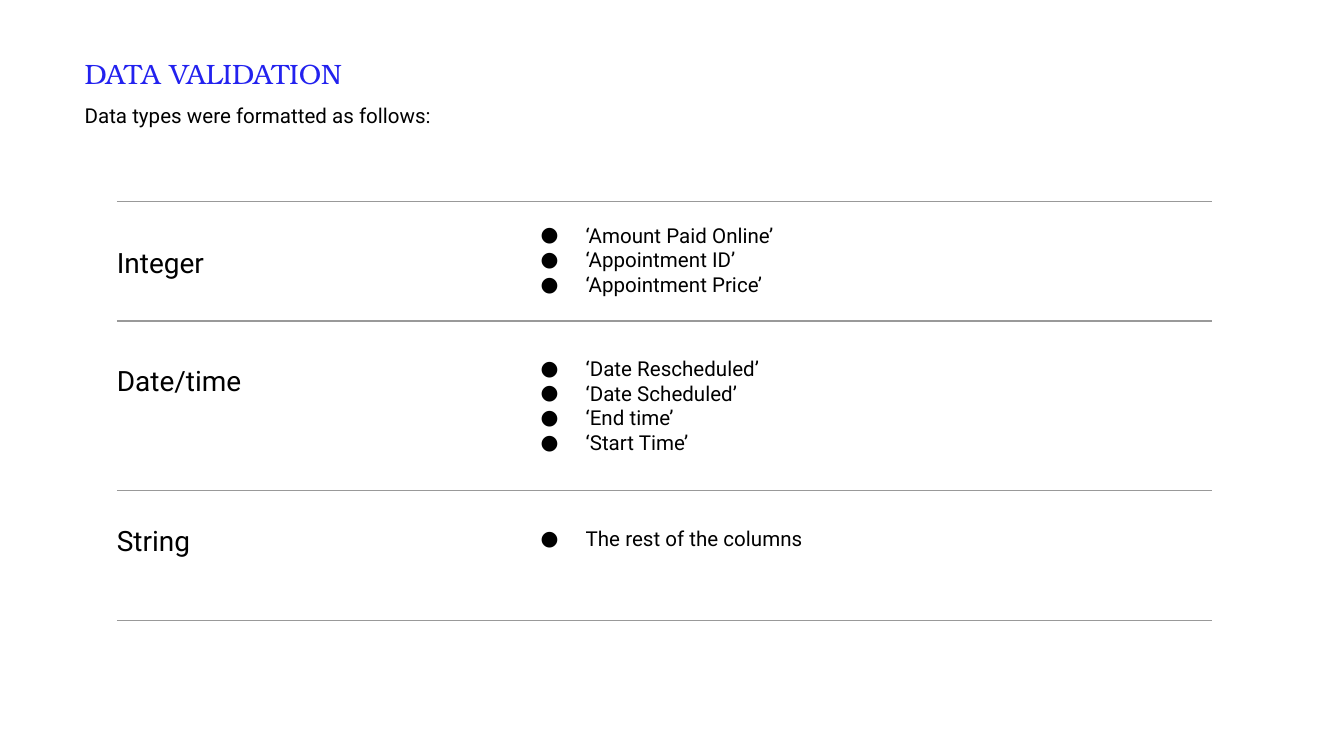
"""Build the data validation slide with its three ruled rows of data types."""
from lxml.etree import SubElement
from pptx import Presentation
from pptx.dml.color import RGBColor
from pptx.enum.shapes import MSO_CONNECTOR as Connector
from pptx.enum.text import MSO_ANCHOR as Anchor, MSO_AUTO_SIZE as AutoSize
from pptx.oxml.ns import qn
from pptx.util import Cm, Pt

BLACK = RGBColor(0x00, 0x00, 0x00)
BLUE = RGBColor(0x23, 0x22, 0xEF)
GREY = RGBColor(0x99, 0x99, 0x99)

HEADING = {"name": "TeX Gyre Bonum", "size": Pt(15)}
LABEL = {"name": "Roboto", "size": Pt(15)}
BODY = {"name": "Roboto", "size": Pt(11)}
FRAME = {
    "word_wrap": True,
    "auto_size": AutoSize.NONE,
    "vertical_anchor": Anchor.TOP,
    "margin_left": Cm(0.25),
    "margin_right": Cm(0.25),
    "margin_top": Cm(0.25),
    "margin_bottom": Cm(0.25),
}


def add_bullet(para):
    props = para._p.get_or_add_pPr()
    props.set("marL", str(Cm(1.27)))
    props.set("indent", str(-Cm(0.85)))
    color = SubElement(props, qn("a:buClr"))
    SubElement(color, qn("a:srgbClr"), val=str(BLACK))
    SubElement(props, qn("a:buFont"), typeface="Roboto")
    SubElement(props, qn("a:buChar"), char="●")


def add_text(page, place, lines, style, color=BLACK, bulleted=False):
    box = page.shapes.add_textbox(*(Cm(length) for length in place))
    frame = box.text_frame
    for name, value in FRAME.items():
        setattr(frame, name, value)
    for index, line in enumerate(lines):
        para = frame.paragraphs[0] if index == 0 else frame.add_paragraph()
        if bulleted:
            add_bullet(para)
        span = para.add_run()
        span.text = line
        for name, value in style.items():
            setattr(span.font, name, value)
        span.font.color.rgb = color


deck = Presentation()
deck.slide_width, deck.slide_height = Cm(25.4), Cm(14.29)
page = deck.slides.add_slide(deck.slide_layouts[6])

add_text(page, (1.35, 0.81, 9.98, 0.94), ["DATA VALIDATION"], HEADING, BLUE)
add_text(page, (1.35, 1.7, 13.54, 1.04), ["Data types were formatted as follows:"], BODY)

rows = [
    ("Integer", 4.4, 3.96, 1.96,
     ["‘Amount Paid Online’", "‘Appointment ID’", "‘Appointment Price’"]),
    ("Date/time", 6.62, 6.48, 1.47,
     ["‘Date Rescheduled’", "‘Date Scheduled’", "‘End time’", "‘Start Time’"]),
    ("String", 9.64, 9.7, 0.91, ["The rest of the columns"]),
]
for label, label_top, list_top, list_height, columns in rows:
    add_text(page, (1.96, label_top, 5.66, 1.06), [label], LABEL)
    add_text(page, (9.55, list_top, 13.36, list_height), columns, BODY, bulleted=True)

for height in (3.81, 6.07, 9.27, 11.73):
    rule = page.shapes.add_connector(
        Connector.STRAIGHT, Cm(2.21), Cm(height), Cm(22.91), Cm(height))
    rule.line.color.rgb = GREY
    rule.line.width = Pt(0.75)
    SubElement(rule._element.spPr, qn("a:effectLst"))

deck.save("out.pptx")
